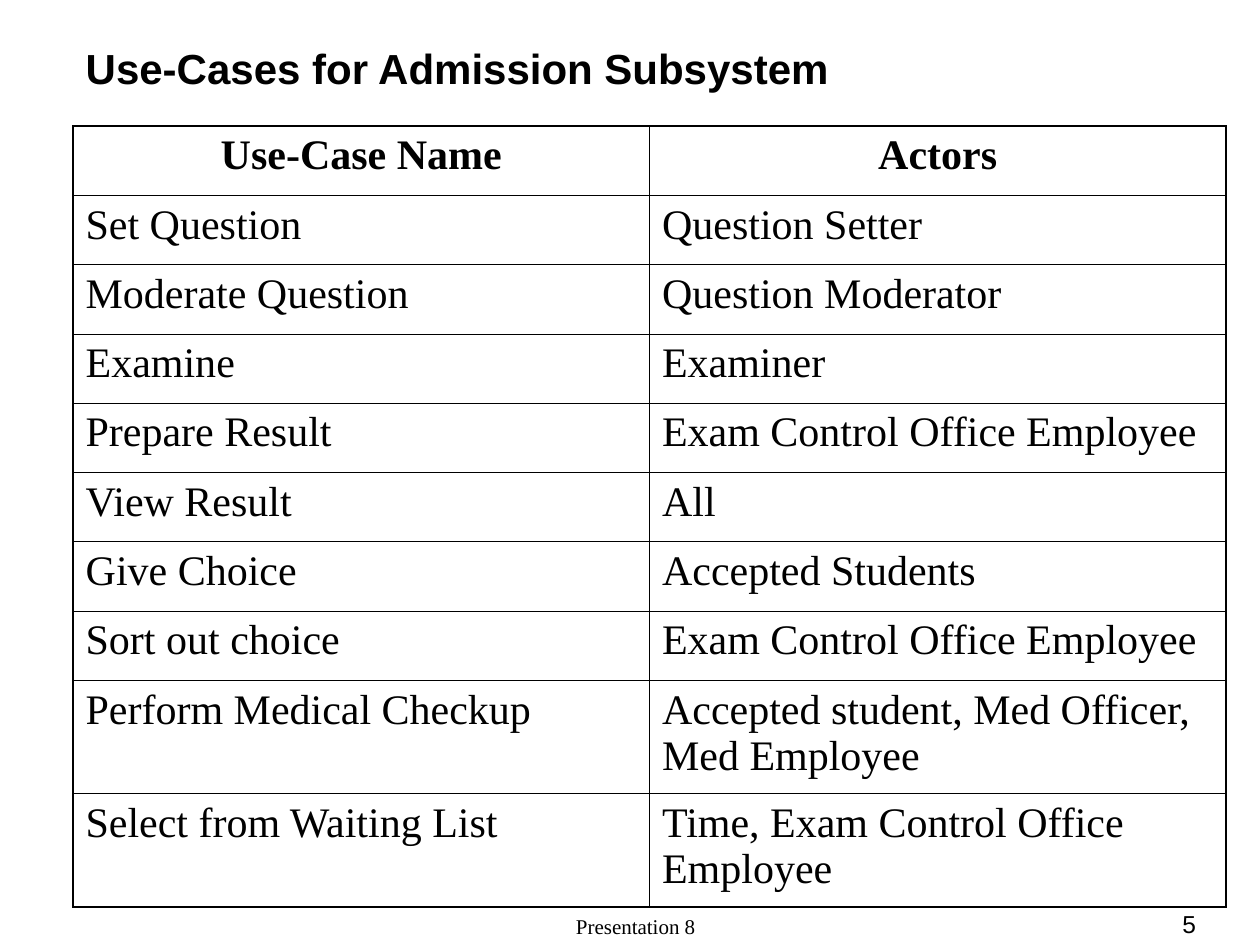
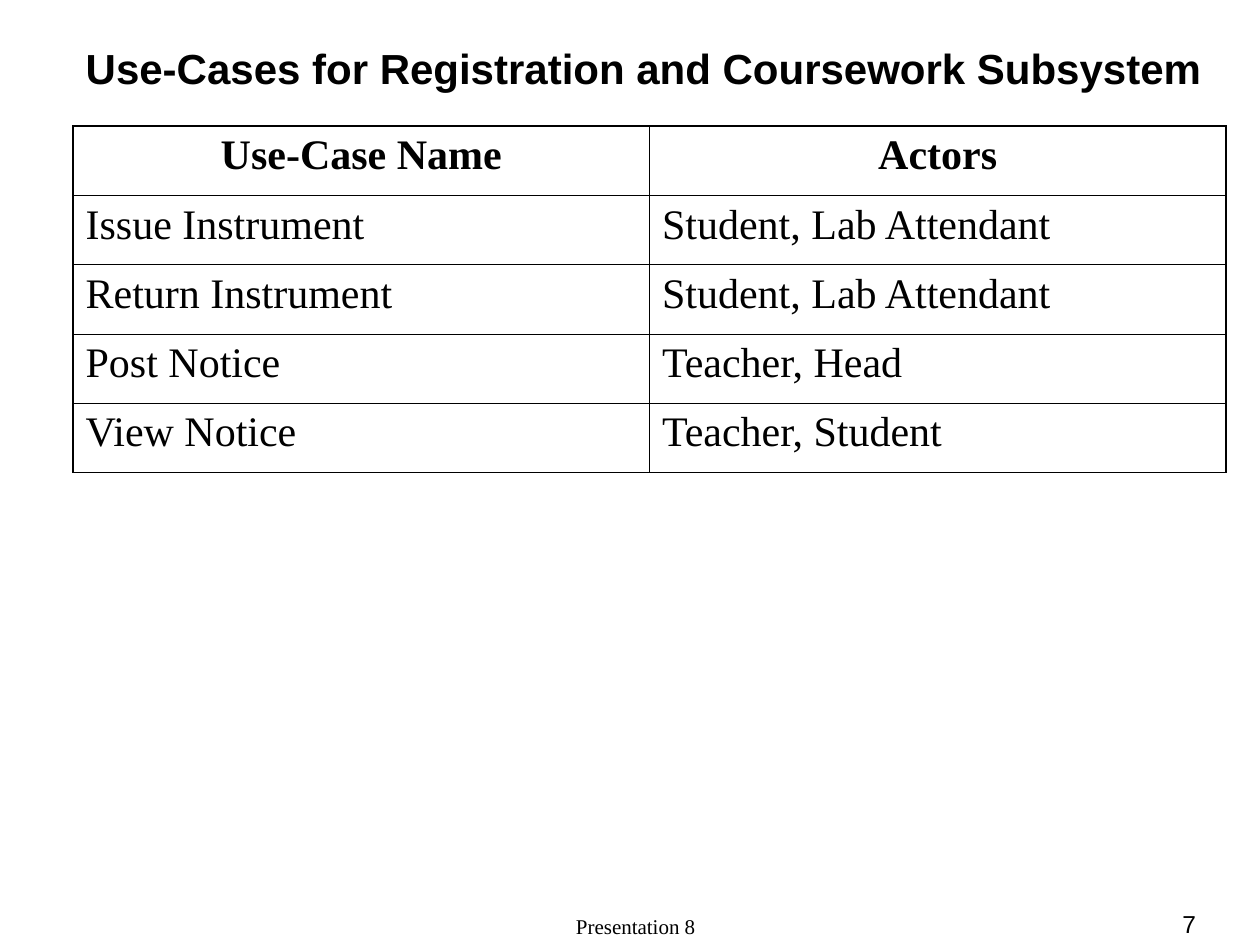
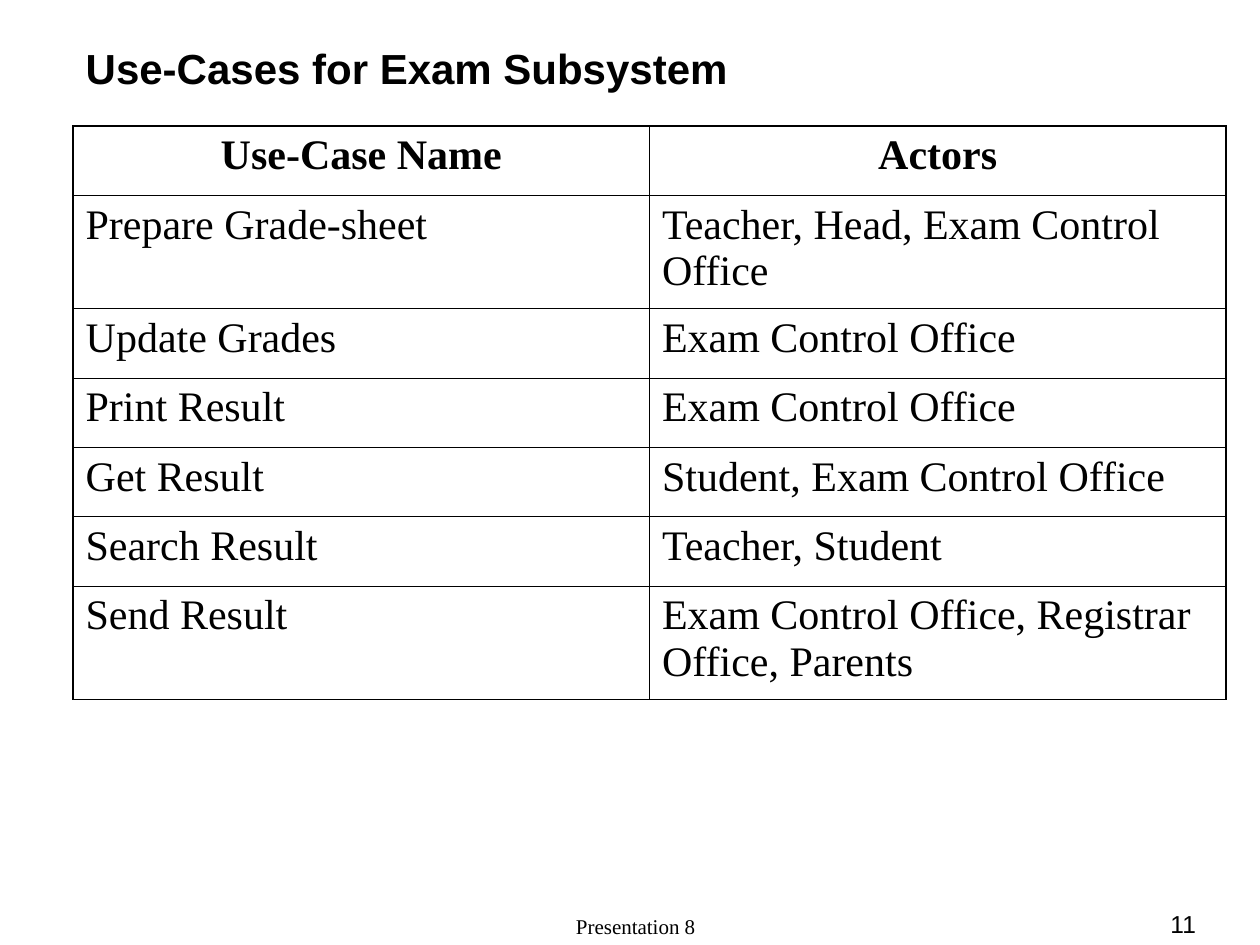
from pptx import Presentation
from pptx.dml.color import RGBColor
from pptx.enum.text import MSO_ANCHOR, MSO_AUTO_SIZE, PP_ALIGN
from pptx.oxml.ns import qn
from pptx.util import Inches, Pt
from lxml.etree import SubElement

COLORS = {"text": "000000", "line": "000000"}
SANS, SERIF = "Arial", "Times New Roman"
THICK, THIN = 1.08, 0.45
LEFT, TOP, WIDTH = 0.58, 1, 9.15
ROW, TALL = 0.55, 0.9
FIT = 30  # characters that fit on one line of a cell
HEAD = ("Use-Case Name", "Actors")

ADMIT = [
    ("Set Question", "Question Setter"),
    ("Moderate Question", "Question Moderator"),
    ("Examine", "Examiner"),
    ("Prepare Result", "Exam Control Office Employee"),
    ("View Result", "All"),
    ("Give Choice", "Accepted Students"),
    ("Sort out choice", "Exam Control Office Employee"),
    ("Perform Medical Checkup", "Accepted student, Med Officer, Med Employee"),
    ("Select from Waiting List", "Time, Exam Control Office Employee"),
]
COURSE = [
    ("Issue Instrument", "Student, Lab Attendant"),
    ("Return Instrument", "Student, Lab Attendant"),
    ("Post Notice", "Teacher, Head"),
    ("View Notice", "Teacher, Student"),
]
EXAM = [
    ("Prepare Grade-sheet", "Teacher, Head, Exam Control Office"),
    ("Update Grades", "Exam Control Office"),
    ("Print Result", "Exam Control Office"),
    ("Get Result", "Student, Exam Control Office"),
    ("Search Result", "Teacher, Student"),
    ("Send Result", "Exam Control Office, Registrar Office, Parents"),
]
SLIDES = [
    ("Use-Cases for Admission Subsystem", ADMIT, 5),
    ("Use-Cases for Registration and Coursework Subsystem", COURSE, 7),
    ("Use-Cases for Exam Subsystem", EXAM, 11),
]


def write(frame, text, face, size, align=PP_ALIGN.LEFT, bold=False):
    frame.text = text
    para = frame.paragraphs[0]
    para.alignment = align
    font = para.font
    font.name, font.size, font.bold = face, Pt(size), bold
    font.color.rgb = RGBColor.from_string(COLORS["text"])


def set_title(slide, text):
    title = slide.shapes.title
    title.left, title.top = Inches(LEFT), Inches(0.25)
    title.width, title.height = Inches(9.42), Inches(0.58)
    frame = title.text_frame
    frame.auto_size = MSO_AUTO_SIZE.NONE
    frame.vertical_anchor = MSO_ANCHOR.MIDDLE
    write(frame, text, SANS, 24, bold=True)


def add_foot(slide, text, left, width, face, size, align):
    box = slide.shapes.add_textbox(Inches(left), Inches(7.25), Inches(width), Inches(0.25))
    frame = box.text_frame
    frame.word_wrap = True
    frame.vertical_anchor = MSO_ANCHOR.BOTTOM
    write(frame, text, face, size, align)


def set_edges(cell, edges):
    """Draw the cell borders; edges maps a side (L, R, T, B) to points."""
    props = cell._tc.get_or_add_tcPr()
    for side, width in edges.items():
        line = SubElement(props, qn(f"a:ln{side}"), w=str(Pt(width)))
        fill = SubElement(line, qn("a:solidFill"))
        SubElement(fill, qn("a:srgbClr"), val=COLORS["line"])


def add_cases(slide, cases):
    rows = [HEAD, *cases]
    sizes = [TALL if len(actors) > FIT else ROW for _, actors in rows]
    table = slide.shapes.add_table(
        len(rows), len(HEAD), Inches(LEFT), Inches(TOP), Inches(WIDTH), Inches(sum(sizes))
    ).table
    table.horz_banding = False
    end_row, end_col = len(rows) - 1, len(HEAD) - 1
    for r, texts in enumerate(rows):
        table.rows[r].height = Inches(sizes[r])
        for c, text in enumerate(texts):
            cell = table.cell(r, c)
            align = PP_ALIGN.CENTER if r == 0 else PP_ALIGN.LEFT
            write(cell.text_frame, text, SERIF, 24, align, bold=r == 0)
            set_edges(cell, {
                "L": THICK if c == 0 else THIN,
                "R": THICK if c == end_col else THIN,
                "T": THICK if r == 0 else THIN,
                "B": THICK if r == end_row else THIN,
            })
            cell.fill.background()


def main():
    deck = Presentation()
    deck.slide_width, deck.slide_height = Inches(10), Inches(7.5)
    for title, cases, number in SLIDES:
        slide = deck.slides.add_slide(deck.slide_layouts[5])
        set_title(slide, title)
        add_foot(slide, "Presentation 8", 3.42, 3.25, SERIF, 12, PP_ALIGN.CENTER)
        add_foot(slide, str(number), 8.42, 1.17, SANS, 14, PP_ALIGN.RIGHT)
        add_cases(slide, cases)
    deck.save("out.pptx")


if __name__ == "__main__":
    main()
